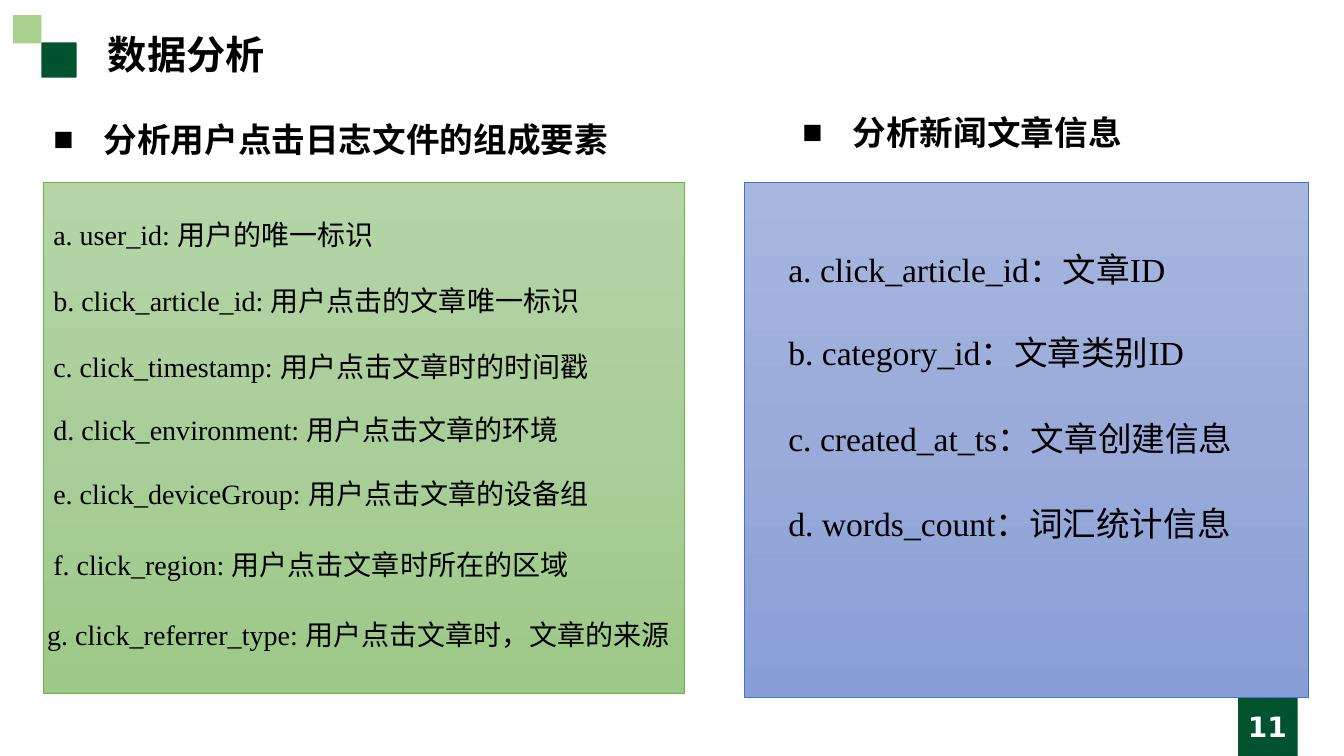
from copy import deepcopy
from lxml.etree import SubElement
from pptx import Presentation
from pptx.dml.color import RGBColor
from pptx.enum.shapes import MSO_SHAPE
from pptx.enum.text import MSO_ANCHOR, MSO_AUTO_SIZE, PP_ALIGN
from pptx.oxml.ns import qn
from pptx.util import Pt

PX = 9144
SERIF, SANS, CJK = "Times New Roman", "DejaVu Sans", "Noto Sans CJK SC"
rgb = RGBColor.from_string


def write(s, box, text, size=20, font=SERIF, color="000000", bold=False,
          anchor=MSO_ANCHOR.MIDDLE, align=PP_ALIGN.LEFT, spacing=1.0, bullet=None):
    s.left, s.top, s.width, s.height = [v * PX for v in box]
    tf = s.text_frame
    tf.word_wrap = True
    tf.auto_size = MSO_AUTO_SIZE.NONE
    tf.vertical_anchor = anchor
    p = tf.paragraphs[0]
    p.alignment, p.line_spacing = align, spacing
    if bullet:
        pPr = p._p.get_or_add_pPr()
        pPr.set("marL", str(50 * PX))
        pPr.set("indent", str(-50 * PX))
        SubElement(pPr, qn("a:buFont"), typeface=SERIF)
        SubElement(pPr, qn("a:buChar"), char=bullet)
    r = p.add_run()
    r.text = text
    r.font.size, r.font.name, r.font.bold = Pt(size), font, bold
    r.font.color.rgb = rgb(color)
    SubElement(r._r.get_or_add_rPr(), qn("a:ea"), typeface=CJK)


def rect(box, colors, line=None):
    s = sp.add_shape(MSO_SHAPE.RECTANGLE, *[v * PX for v in box])
    s.shadow.inherit = False
    if line:
        s.line.color.rgb = rgb(line)
        s.line.width = Pt(0.5)
        s.fill.gradient()
        s.fill.gradient_angle = 270
        stops = s._element.spPr.find(".//" + qn("a:gsLst"))
        stops.insert(1, deepcopy(stops[0]))
        for i, stop in enumerate(s.fill.gradient_stops):
            stop.position = i / 2
            stop.color.rgb = rgb(colors[i])
    else:
        s.line.fill.background()
        s.fill.solid()
        s.fill.fore_color.rgb = rgb(colors[0])


prs = Presentation()
prs.slide_width, prs.slide_height = 1333 * PX, 750 * PX
slide = prs.slides.add_slide(prs.slide_layouts[5])
sp = slide.shapes

for box, color in [((41, 42, 35, 35), "01532F"), ((13, 15, 28, 28), "A9D18E"),
                   ((1228, 691, 59, 59), "01532F")]:
    rect(box, [color])
rect((738, 181, 560, 511), ["A8B7DF", "9AABD9", "889ED7"], "4472C4")
rect((43, 181, 636, 507), ["B5D5A7", "AACE9A", "9CC987"], "70AD47")

write(sp.title, (97, 25, 832, 57), "数据分析", size=28, font=SANS, bold=True,
      anchor=MSO_ANCHOR.TOP)
write(sp.add_textbox(0, 0, 0, 0), (1181, 701, 152, 40), "11", font=SANS,
      color="FFFFFF", bold=True, align=PP_ALIGN.CENTER)

headings = [((43, 113, 592, 50), "分析用户点击日志文件的组成要素"),
            ((786, 106, 420, 50), "分析新闻文章信息")]
for box, text in headings:
    write(sp.add_textbox(0, 0, 0, 0), box, text, size=24, font=CJK, bold=True,
          anchor=MSO_ANCHOR.TOP, bullet="■")

click_fields = [
    (43, 201, "a. user_id: 用户的唯一标识"),
    (43, 266, "b. click_article_id: 用户点击的文章唯一标识"),
    (43, 332, "c. click_timestamp: 用户点击文章时的时间戳"),
    (43, 394, "d. click_environment: 用户点击文章的环境"),
    (43, 458, "e. click_deviceGroup: 用户点击文章的设备组"),
    (43, 528, "f. click_region: 用户点击文章时所在的区域"),
    (37, 598, "g. click_referrer_type: 用户点击文章时，文章的来源"),
]
for x, y, text in click_fields:
    write(sp.add_textbox(0, 0, 0, 0), (x, y, 642, 55), text, spacing=1.25)

article_fields = [
    (238, "a. click_article_id：文章ID"),
    (321, "b. category_id：文章类别ID"),
    (406, "c. created_at_ts：文章创建信息"),
    (490, "d. words_count：词汇统计信息"),
]
for y, text in article_fields:
    write(sp.add_textbox(0, 0, 0, 0), (772, y, 492, 47), text, size=24, spacing=1.25)

prs.save("out.pptx")
